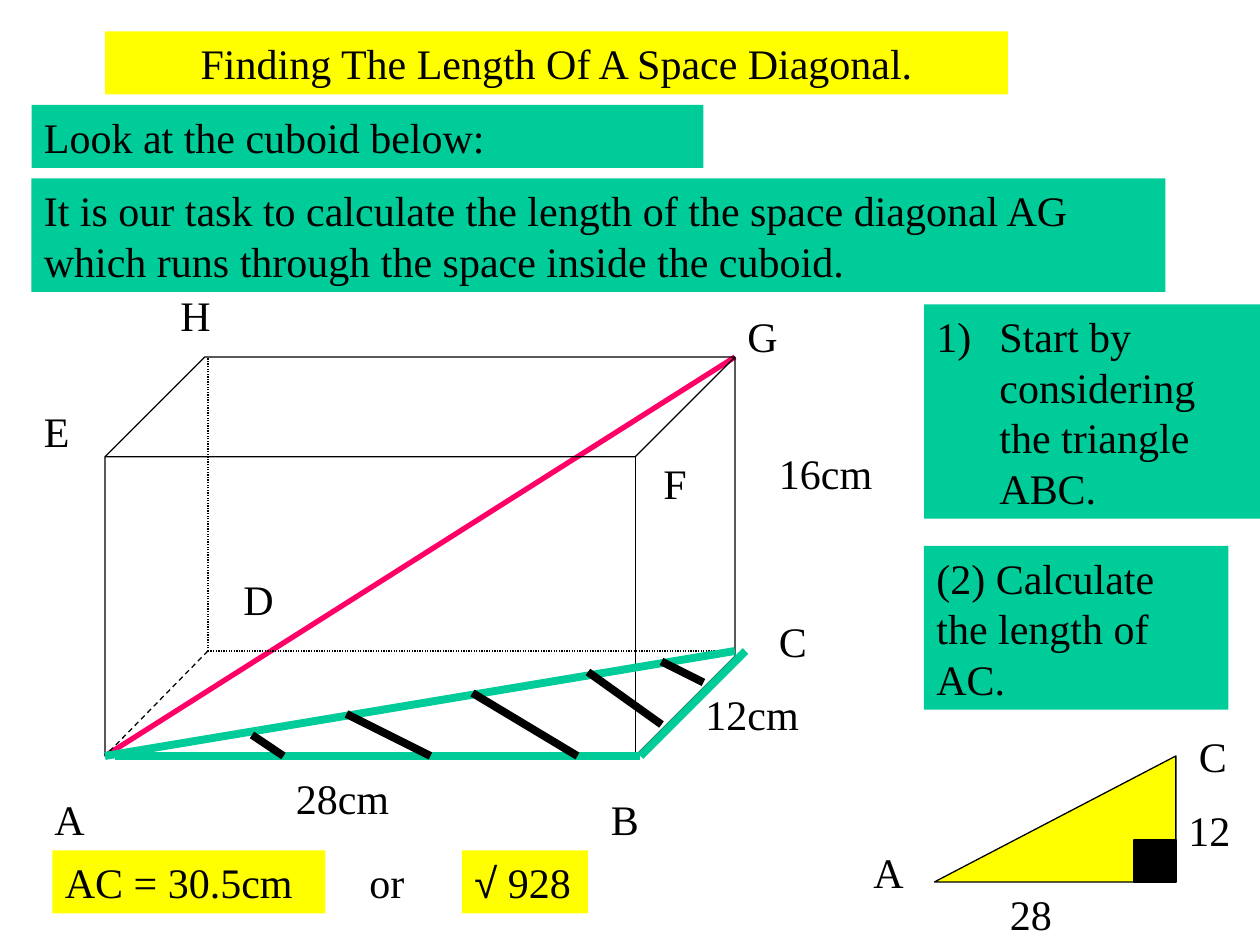
from lxml import etree
from pptx import Presentation
from pptx.dml.color import RGBColor
from pptx.enum.dml import MSO_LINE
from pptx.enum.shapes import MSO_CONNECTOR, MSO_SHAPE
from pptx.enum.text import MSO_ANCHOR, MSO_AUTO_SIZE, PP_ALIGN
from pptx.oxml.ns import qn
from pptx.util import Cm, Pt

STRAIGHT = MSO_CONNECTOR.STRAIGHT
RECTANGLE, CUBE, TRIANGLE = MSO_SHAPE.RECTANGLE, MSO_SHAPE.CUBE, MSO_SHAPE.RIGHT_TRIANGLE
DASH, DOT = MSO_LINE.DASH, MSO_LINE.ROUND_DOT
LEFT, CENTER = PP_ALIGN.LEFT, PP_ALIGN.CENTER
GRID_CM = 2.54 / 12
BLACK, YELLOW, GREEN, PINK = "000000", "FFFF00", "00CC99", "FF0066"
FRAME_FORMAT = {
    "word_wrap": True,
    "auto_size": MSO_AUTO_SIZE.SHAPE_TO_FIT_TEXT,
    "vertical_anchor": MSO_ANCHOR.TOP,
    "margin_left": Cm(0.25),
    "margin_right": Cm(0.25),
    "margin_top": Cm(0.13),
    "margin_bottom": Cm(0.13),
}


def color(value):
    """Turn a hex string into a colour."""
    return RGBColor.from_string(value)


def grid(*units):
    """Convert grid units, twelve to the inch, into lengths."""
    return [Cm(unit * GRID_CM) for unit in units]


def set_attributes(target, values):
    """Set each attribute of the target from a dict."""
    for name, value in values.items():
        setattr(target, name, value)


def write_text(shape, runs, alignment=LEFT):
    """Write one paragraph of (text, font name) runs and return it."""
    set_attributes(shape.text_frame, FRAME_FORMAT)
    paragraph = shape.text_frame.paragraphs[0]
    paragraph.alignment = alignment
    for text, font_name in runs:
        run = paragraph.add_run()
        run.text = text
        set_attributes(run.font, {"name": font_name, "size": Pt(24)})
        run.font.color.rgb = color(BLACK)
    return paragraph


def add_label(shapes, text, left, top, width=7, height=6):
    """Add a plain text label."""
    label = shapes.add_textbox(*grid(left, top, width, height))
    write_text(label, [(text, "Times New Roman")])


def add_figure(shapes, kind, box, fill=None, outline=None):
    """Add a preset shape with an optional fill and outline."""
    shape = shapes.add_shape(kind, *grid(*box))
    shape.shadow.inherit = False
    if fill:
        shape.fill.solid()
        shape.fill.fore_color.rgb = color(fill)
    else:
        shape.fill.background()
    if outline:
        shape.line.color.rgb = color(outline)
        shape.line.width = Pt(0.75)
    else:
        shape.line.fill.background()
    return shape


def add_panel(shapes, box, fill, text, alignment=LEFT):
    """Add a filled rectangle with text and return its paragraph."""
    panel = add_figure(shapes, RECTANGLE, box, fill)
    return write_text(panel, [(text, "Times New Roman")], alignment)


def add_line(shapes, start, end, line_color=BLACK, width=0.75, dash=None):
    """Add a straight line between two grid points."""
    line = shapes.add_connector(STRAIGHT, *grid(*start, *end))
    line.line.color.rgb = color(line_color)
    set_attributes(line.line, {"width": Pt(width), "dash_style": dash})
    etree.SubElement(line._element.spPr, qn("a:effectLst"))


def number_paragraph(paragraph):
    """Number a paragraph with a hanging indent."""
    properties = paragraph._p.get_or_add_pPr()
    properties.set("marL", str(Cm(1.27)))
    properties.set("indent", str(-Cm(1.27)))
    etree.SubElement(properties, qn("a:buFont"), typeface="+mj-lt")
    etree.SubElement(properties, qn("a:buAutoNum"), type="arabicParenR")


def add_cuboid(slide):
    """Add the cuboid with its space diagonal, hidden edges and labels."""
    corner_a, corner_d, corner_g = (10, 72), (19.8, 62), (70, 34)
    add_line(slide.shapes, corner_a, corner_g, PINK, 3)
    shapes = slide.shapes.add_group_shape().shapes
    add_figure(shapes, CUBE, (10, 34, 60, 38), outline=BLACK)
    for end, dash in ((corner_a, DASH), ((19.8, 34), DOT), ((70, 62), DOT)):
        add_line(shapes, corner_d, end, dash=dash)
    corner_labels = {
        "A": (4, 75), "B": (57, 75), "C": (73, 58), "D": (22, 54),
        "E": (3, 38), "F": (62, 43), "G": (70, 29), "H": (16, 27),
    }
    for text, position in corner_labels.items():
        add_label(shapes, text, *position)
    add_label(shapes, "28cm", 27, 73, 13)
    add_label(shapes, "12cm", 66, 65, 16)
    add_label(shapes, "16cm", 73, 42, 14)


def add_base_triangle(slide):
    """Outline and hatch triangle ABC on the base."""
    shapes = slide.shapes.add_group_shape().shapes
    sides = [((10, 72), (70, 62)), ((71, 62), (61, 72)), ((61, 72), (11, 72))]
    hatching = [
        ((24, 68), (27, 72)), ((33, 66), (41, 72)), ((45, 66 - 2), (55, 72)),
    ]
    hatching = [
        ((24, 70), (27, 72)), ((33, 68), (41, 72)), ((45, 66), (55, 72)),
        ((56, 64), (63, 69)), ((63, 63), (67, 65)),
    ]
    for lines, line_color in ((sides, GREEN), (hatching, BLACK)):
        for start, end in lines:
            add_line(shapes, start, end, line_color, 4.5)


def add_right_triangle(slide):
    """Add the flat view of triangle ABC with its labels."""
    shapes = slide.shapes.add_group_shape().shapes
    triangle = add_figure(shapes, TRIANGLE, (89, 72, 23, 12), YELLOW, BLACK)
    triangle._element.spPr.find(qn("a:xfrm")).set("flipH", "1")
    add_figure(shapes, RECTANGLE, (108, 80, 4, 4), BLACK, BLACK)
    add_label(shapes, "A", 82, 80, 5)
    add_label(shapes, "C", 113, 69, 4)
    add_label(shapes, "28", 95, 84, 15)
    add_label(shapes, "12", 112, 76, 8)


def add_explanation(slide):
    """Add the title, task and numbered steps."""
    shapes = slide.shapes
    add_panel(shapes, (10, 3, 86, 6), YELLOW, "Finding The Length Of A Space Diagonal.", CENTER)
    add_panel(shapes, (3, 10, 64, 6), GREEN, "Look at the cuboid below:")
    add_panel(shapes, (3, 17, 108, 10.8), GREEN,
              "It is our task to calculate the length of the space diagonal AG "
              "which runs through the space inside the cuboid.")
    first_step = add_panel(shapes, (88, 29, 32, 20.4), GREEN,
                           "Start by considering the triangle ABC.")
    number_paragraph(first_step)
    add_panel(shapes, (88, 52, 29, 15.6), GREEN, "(2) Calculate the length of AC.")


def add_answer(slide):
    """Add the length of AC in both forms."""
    add_panel(slide.shapes, (5, 81, 26, 6), YELLOW, "AC = 30.5cm")
    add_label(slide.shapes, "or", 34, 81, 6)
    root = add_figure(slide.shapes, RECTANGLE, (44, 81, 12, 6), YELLOW)
    write_text(root, [("√", "Arial"), (" 928", "Times New Roman")])


def main():
    """Build and save the slide."""
    presentation = Presentation()
    set_attributes(presentation, {"slide_width": Cm(25.4), "slide_height": Cm(19.05)})
    slide = presentation.slides.add_slide(presentation.slide_layouts[6])
    add_cuboid(slide)
    add_base_triangle(slide)
    add_explanation(slide)
    add_right_triangle(slide)
    add_answer(slide)
    presentation.save("out.pptx")


if __name__ == "__main__":
    main()
